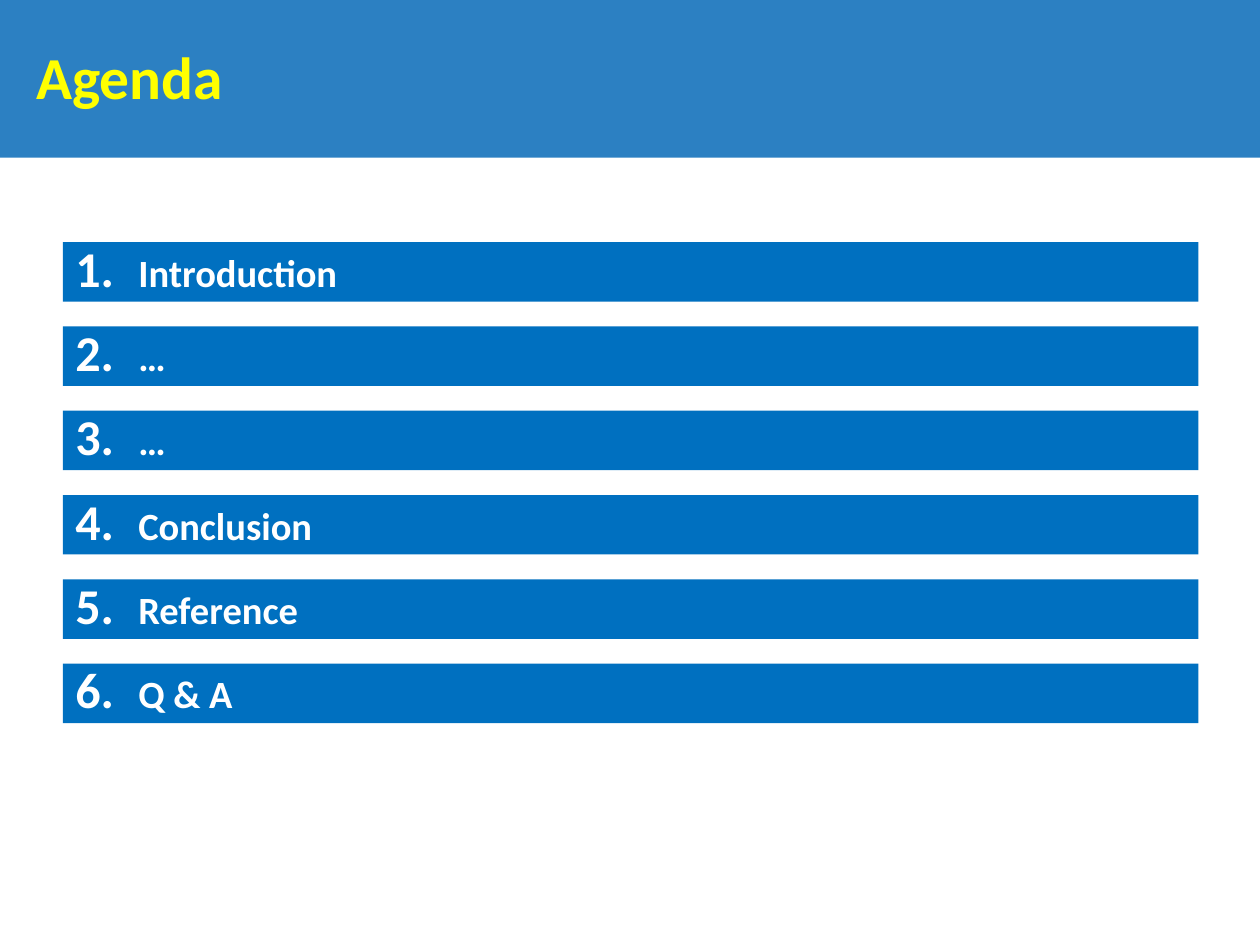
from dataclasses import dataclass

from pptx import Presentation
from pptx.dml.color import RGBColor
from pptx.enum.shapes import MSO_SHAPE
from pptx.enum.text import MSO_ANCHOR, MSO_AUTO_SIZE, PP_ALIGN
from pptx.oxml.ns import qn
from pptx.util import Cm, Pt
from lxml import etree

RECTANGLE = MSO_SHAPE.RECTANGLE
MIDDLE = MSO_ANCHOR.MIDDLE
LEFT = PP_ALIGN.LEFT
GROW = MSO_AUTO_SIZE.SHAPE_TO_FIT_TEXT


@dataclass(frozen=True)
class Theme:
    """Colours, font and type sizes of the slide."""
    header: RGBColor = RGBColor(0x2C, 0x80, 0xC2)
    bar: RGBColor = RGBColor(0x00, 0x70, 0xC0)
    title: RGBColor = RGBColor(0xFF, 0xFF, 0x00)
    topic: RGBColor = RGBColor(0xFF, 0xFF, 0xFF)
    font: str = "Calibri"
    title_size: int = 34
    topic_size: int = 22


THEME = Theme()
TOPICS = ["Introduction", "…", "…", "Conclusion", "Reference", "Q & A"]
SLIDE_WIDTH, SLIDE_HEIGHT = Cm(25.4), Cm(19.05)
BAR_LEFT, BAR_TOP = Cm(1.27), Cm(4.88)
BAR_WIDTH, BAR_HEIGHT = Cm(22.89), Cm(1.2)
BAR_PITCH = Cm(1.7)
NUMBER_INDENT = Cm(1.27)


def write_text(holder, text, *, size, color, line_spacing=None):
    """Write one bold, left-aligned paragraph and return it."""
    frame = holder.text_frame
    frame.word_wrap = True
    frame.auto_size = GROW
    frame.vertical_anchor = MIDDLE
    paragraph = frame.paragraphs[0]
    paragraph.alignment = LEFT
    paragraph.line_spacing = line_spacing
    run = paragraph.add_run()
    run.text = text
    run.font.name = THEME.font
    run.font.size = Pt(size)
    run.font.bold = True
    run.font.color.rgb = color
    return paragraph


def number_paragraph(paragraph, number):
    """Give the paragraph a hanging, enlarged automatic number."""
    properties = paragraph._p.get_or_add_pPr()
    properties.set("marL", str(NUMBER_INDENT))
    properties.set("indent", str(-NUMBER_INDENT))
    etree.SubElement(properties, qn("a:buSzPct"), val="130000")
    etree.SubElement(properties, qn("a:buFont"), typeface="+mj-lt")
    etree.SubElement(properties, qn("a:buAutoNum"), type="arabicPeriod", startAt=str(number))


def add_band(slide, left, top, width, height, color):
    """Add a plain filled rectangle."""
    band = slide.shapes.add_shape(RECTANGLE, left, top, width, height)
    band.shadow.inherit = False
    band.fill.solid()
    band.fill.fore_color.rgb = color
    band.line.fill.background()
    return band


def add_title(slide, text):
    """Add the slide title over the header band."""
    title = slide.shapes.add_textbox(Cm(0.48), Cm(0.84), Cm(20.85), Cm(1.57))
    write_text(title, text, size=THEME.title_size, color=THEME.title, line_spacing=0.9)


def add_topic(slide, number, topic):
    """Add one numbered agenda bar."""
    top = BAR_TOP + (number - 1) * BAR_PITCH
    bar = add_band(slide, BAR_LEFT, top, BAR_WIDTH, BAR_HEIGHT, THEME.bar)
    paragraph = write_text(bar, topic, size=THEME.topic_size, color=THEME.topic)
    number_paragraph(paragraph, number)


def main():
    """Build the agenda slide."""
    deck = Presentation()
    deck.slide_width, deck.slide_height = SLIDE_WIDTH, SLIDE_HEIGHT
    slide = deck.slides.add_slide(deck.slide_layouts[6])
    add_band(slide, 0, 0, SLIDE_WIDTH, Cm(3.18), THEME.header)
    add_title(slide, "Agenda")
    for number, topic in enumerate(TOPICS, start=1):
        add_topic(slide, number, topic)
    deck.save("out.pptx")


if __name__ == "__main__":
    main()
